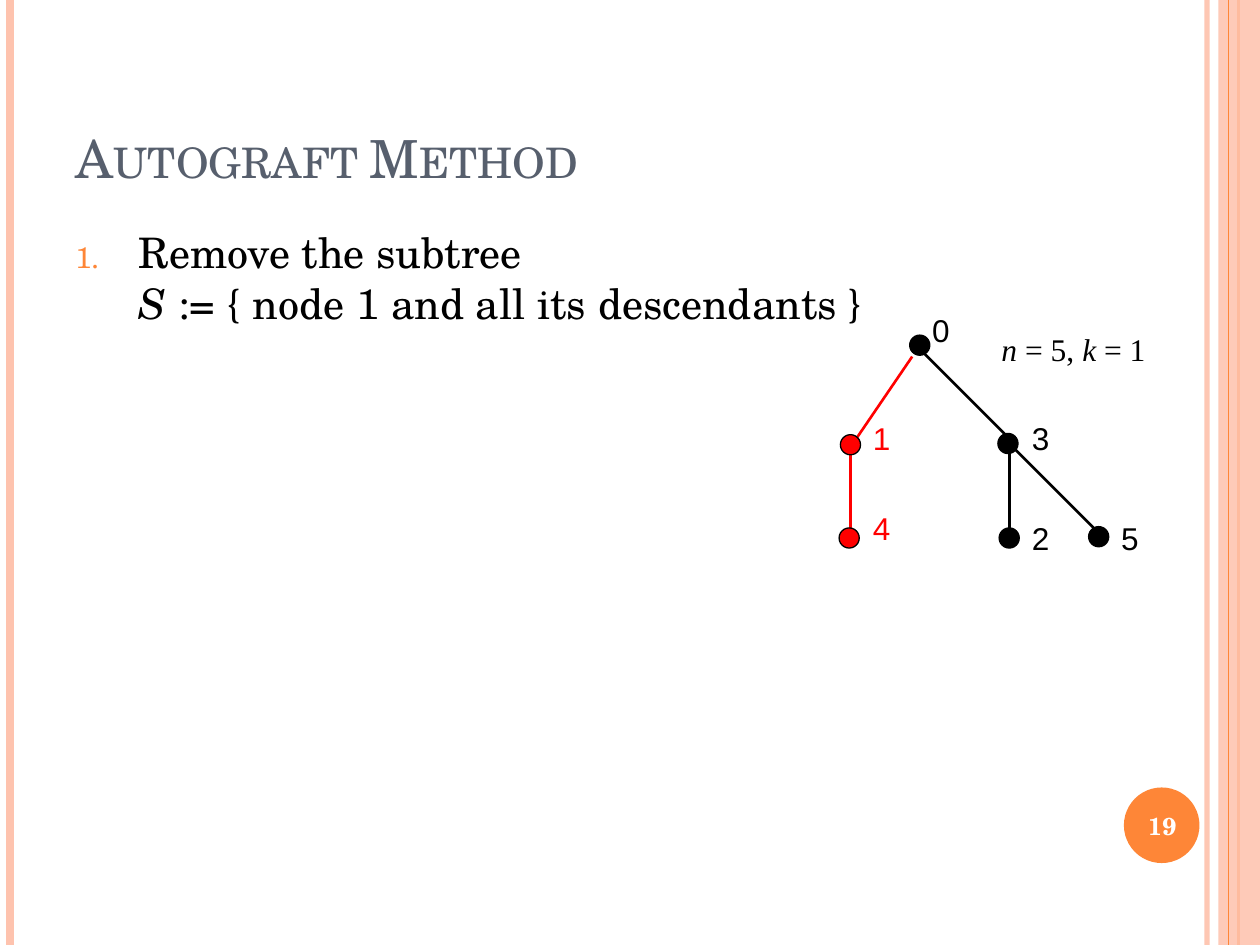
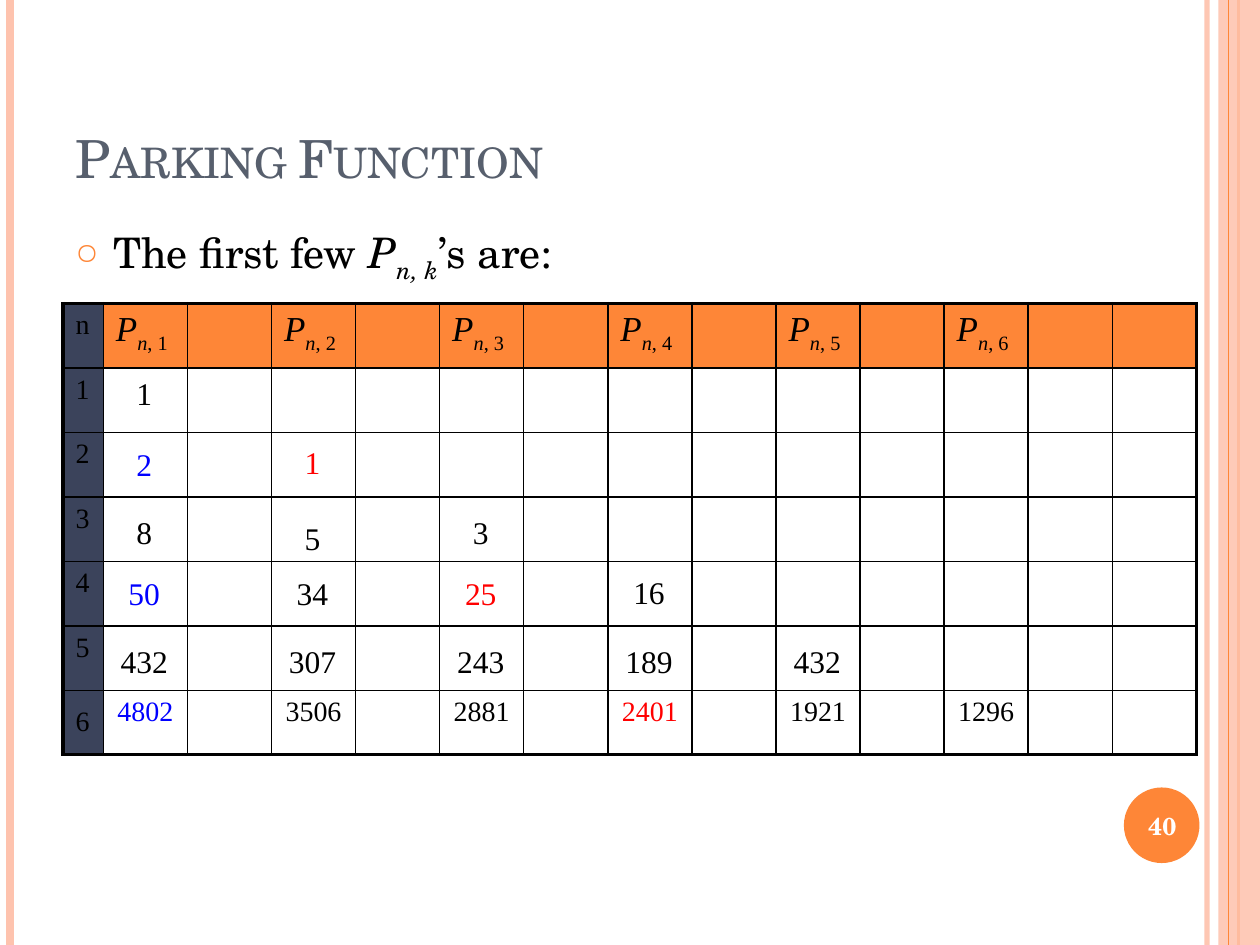
"""Build two slides on the autograft method and the parking function."""
from dataclasses import dataclass
from typing import Optional, Sequence

from lxml import etree
from pptx import Presentation
from pptx.dml.color import RGBColor
from pptx.enum.shapes import MSO_CONNECTOR, MSO_SHAPE
from pptx.enum.text import MSO_ANCHOR, MSO_AUTO_SIZE, PP_ALIGN
from pptx.oxml.ns import qn
from pptx.util import Inches, Pt

LINE = MSO_CONNECTOR.STRAIGHT
RECT, OVAL = MSO_SHAPE.RECTANGLE, MSO_SHAPE.OVAL
TOP, MIDDLE, BOTTOM = MSO_ANCHOR.TOP, MSO_ANCHOR.MIDDLE, MSO_ANCHOR.BOTTOM
LEFT, CENTER = PP_ALIGN.LEFT, PP_ALIGN.CENTER
NO_FIT = MSO_AUTO_SIZE.NONE
SERIF, SANS, MATH = "TeX Gyre Schola", "Arial", "Times New Roman"
COLORS = {
    "peach": "FEC3AE",
    "orange": "FE8637",
    "slate": "575F6D",
    "navy": "3B435B",
    "black": "000000",
    "white": "FFFFFF",
    "red": "FF0000",
    "blue": "0000FF",
}


@dataclass
class Run:
    text: str
    italic: bool = False
    sub: bool = False


@dataclass
class Style:
    font: str
    size: float
    color: str = "black"
    bold: bool = False
    align: int = LEFT
    anchor: int = TOP
    before: float = 0


@dataclass
class Edge:
    start: tuple
    end: tuple
    color: str = "black"
    width: float = 1.5
    alpha: Optional[int] = None


@dataclass
class Node:
    label: str
    left: float
    top: float
    label_left: float
    label_top: float
    color: str = "black"


@dataclass
class Value:
    column: int
    top: float
    text: str
    color: str = "black"


BANDS = [
    Edge((9.58, 0), (9.58, 7.5), "peach", 3, 93),
    Edge((0.08, 0), (0.08, 7.5), "peach", 4.5),
    Edge((9.83, 0), (9.83, 7.5), "orange", 1.5),
]
INNER_BAND = Edge((9.75, 0), (9.75, 7.5), "orange", 0.75)
EDGES = [
    Edge((8.05, 3.52), (7.3, 2.77)),
    Edge((7.24, 2.83), (6.77, 3.52), "red"),
    Edge((6.75, 3.58), (6.75, 4.31), "red"),
    Edge((8.01, 3.52), (8.01, 4.31)),
    Edge((8.01, 3.52), (8.72, 4.23)),
]
NODES = [
    Node("0", 7.22, 2.66, 7.3, 2.42),
    Node("1", 6.67, 3.45, 6.83, 3.28, "red"),
    Node("4", 6.66, 4.19, 6.83, 3.99, "red"),
    Node("3", 7.92, 3.44, 8.09, 3.28),
    Node("2", 7.93, 4.19, 8.09, 4.07),
    Node("5", 8.64, 4.18, 8.8, 4.07),
]
VALUES = [
    Value(1, 2.92, "1"),
    Value(1, 3.48, "2", "blue"),
    Value(2, 3.47, "1", "red"),
    Value(1, 4.02, "8"),
    Value(2, 4.07, "5"),
    Value(3, 4.02, "3"),
    Value(1, 4.51, "50", "blue"),
    Value(2, 4.51, "34"),
    Value(3, 4.51, "25", "red"),
    Value(4, 4.5, "16"),
    *(Value(k, 5.05, text) for k, text in
      enumerate(("432", "307", "243", "189", "432"), 1)),
]
LAST_ROW = [("4802", "blue"), ("3506", "black"), ("2881", "black"),
            ("2401", "red"), ("1921", "black"), ("1296", "black")]
ROWS, COLS = 7, 14
TABLE_WIDTH, TABLE_HEIGHT, INDEX_WIDTH = 9, 3.58, 0.32
COL_WIDTH = (TABLE_WIDTH - INDEX_WIDTH) / (COLS - 1)


def rgb(name: str) -> RGBColor:
    """Return a palette colour."""
    return RGBColor.from_string(COLORS[name])


def set_alpha(s, percent: int) -> None:
    """Make the first solid colour of a shape translucent."""
    color = s._element.spPr.find(".//" + qn("a:srgbClr"))
    etree.SubElement(color, qn("a:alpha")).set("val", str(percent * 1000))


def add_line(slide, edge: Edge) -> None:
    """Draw a straight line without a shadow."""
    s = slide.shapes.add_connector(LINE, *map(Inches, edge.start + edge.end))
    s.line.color.rgb = rgb(edge.color)
    s.line.width = Pt(edge.width)
    etree.SubElement(s._element.spPr, qn("a:effectLst"))
    if edge.alpha:
        set_alpha(s, edge.alpha)


def add_solid(slide, kind: int, box: Sequence[float], color: str,
              outline: Optional[str] = None):
    """Draw a filled preset shape."""
    s = slide.shapes.add_shape(kind, *map(Inches, box))
    s.shadow.inherit = False
    s.fill.solid()
    s.fill.fore_color.rgb = rgb(color)
    if outline:
        s.line.color.rgb = rgb(outline)
        s.line.width = Pt(0.75)
    else:
        s.line.fill.background()
    return s


def write(p, runs: Sequence[Run], style: Style) -> None:
    """Fill a paragraph with formatted runs."""
    p.alignment = style.align
    p.space_before = Pt(style.before)
    for part in runs:
        if part.text == "\n":
            p.add_line_break()
            continue
        r = p.add_run()
        r.text = part.text
        r.font.name = style.font
        r.font.size = Pt(style.size)
        r.font.color.rgb = rgb(style.color)
        r.font.bold = style.bold
        r.font.italic = part.italic
        if part.sub:
            r._r.get_or_add_rPr().set("baseline", "-25000")


def add_text(slide, box: Sequence[float], runs: Sequence[Run], style: Style):
    """Add a wrapped text box and return its paragraph."""
    tf = slide.shapes.add_textbox(*map(Inches, box)).text_frame
    tf.word_wrap = True
    tf.vertical_anchor = style.anchor
    p = tf.paragraphs[0]
    write(p, runs, style)
    return p


def add_body(slide, runs: Sequence[Run], indent: float, bullet: str,
             **mark: str) -> None:
    """Add the body text with an orange bullet or number."""
    p = add_text(slide, (0.5, 1.75, 8.17, 5.33), runs,
                 Style(SERIF, 24, before=6))
    ppr = p._p.get_or_add_pPr()
    ppr.set("marL", str(Inches(indent)))
    ppr.set("indent", str(-Inches(indent)))
    color = etree.SubElement(ppr, qn("a:buClr"))
    etree.SubElement(color, qn("a:srgbClr")).set("val", COLORS["orange"])
    etree.SubElement(ppr, qn("a:buSzPct")).set("val", "70000")
    etree.SubElement(ppr, qn(bullet), mark)


def add_base(prs, title: str, number: int):
    """Add a slide with its bands, title and page number."""
    slide = prs.slides.add_slide(prs.slide_layouts[5])
    for band in BANDS:
        add_line(slide, band)
    set_alpha(add_solid(slide, RECT, (9.67, 0, 0.33, 7.5), "peach"), 87)
    add_line(slide, INNER_BAND)
    add_solid(slide, OVAL, (8.92, 6.25, 0.6, 0.6), "orange")
    s = slide.shapes.title
    s.left, s.top, s.width, s.height = map(Inches, (0.5, 0.3, 8.17, 1.25))
    tf = s.text_frame
    tf.auto_size = NO_FIT
    tf.vertical_anchor = BOTTOM
    p = tf.paragraphs[0]
    write(p, [Run(title)], Style(SERIF, 30, "slate"))
    p.runs[0]._r.get_or_add_rPr().set("cap", "small")
    add_text(slide, (8.89, 6.27, 0.67, 0.57), [Run(str(number))],
             Style(SERIF, 14, "white", True, CENTER, MIDDLE))
    return slide


def add_tree(slide) -> None:
    """Draw the labelled tree."""
    for edge in EDGES:
        add_line(slide, edge)
    for node in NODES:
        add_solid(slide, OVAL, (node.left, node.top, 0.16, 0.16),
                  node.color, "black")
        add_text(slide, (node.label_left, node.label_top, 0.32, 0.4),
                 [Run(node.label)], Style(SANS, 18, node.color, before=2))
    runs = [Run("n", True), Run(" = 5, "), Run("k", True), Run(" = 1")]
    add_text(slide, (7.85, 2.57, 1.97, 0.4), runs, Style(MATH, 18, before=2))


def set_borders(cell, row: int, col: int) -> None:
    """Give a cell thin inner and thick outer borders."""
    outer = {"a:lnL": col == 0, "a:lnR": col == COLS - 1,
             "a:lnT": row == 0, "a:lnB": row == ROWS - 1}
    tcpr = cell._tc.get_or_add_tcPr()
    for i, (tag, thick) in enumerate(outer.items()):
        ln = etree.Element(qn(tag), w=str(Pt(2.25 if thick else 1)))
        fill = etree.SubElement(ln, qn("a:solidFill"))
        etree.SubElement(fill, qn("a:srgbClr")).set("val", COLORS["black"])
        tcpr.insert(i, ln)


def add_counts(slide) -> None:
    """Add the table of parking function values."""
    box = (0.5, 2.41, TABLE_WIDTH, TABLE_HEIGHT)
    table = slide.shapes.add_table(ROWS, COLS, *map(Inches, box)).table
    table.first_row = table.horz_banding = False
    for col, column in enumerate(table.columns):
        column.width = Inches(COL_WIDTH if col else INDEX_WIDTH)
    for row in range(ROWS):
        table.rows[row].height = Inches(TABLE_HEIGHT / ROWS)
        for col in range(COLS):
            cell = table.cell(row, col)
            if col and row:
                cell.fill.background()
            else:
                cell.fill.solid()
                cell.fill.fore_color.rgb = rgb("orange" if col else "navy")
            set_borders(cell, row, col)
        write(table.cell(row, 0).text_frame.paragraphs[0],
              [Run(str(row) if row else "n")], Style(MATH, 16))
    table.cell(ROWS - 1, 0).vertical_anchor = MIDDLE
    for k, (text, color) in enumerate(LAST_ROW, 1):
        head, last = (table.cell(row, 2 * k - 1).text_frame.paragraphs[0]
                      for row in (0, ROWS - 1))
        write(head, [Run("P", True), Run("n", True, True),
                     Run(f", {k}", sub=True)], Style(MATH, 20))
        write(last, [Run(text)], Style(MATH, 16, color, align=CENTER))
    for value in VALUES:
        left = 0.83 + 2 * COL_WIDTH * (value.column - 1)
        add_text(slide, (left, value.top, 0.63, 0.4), [Run(value.text)],
                 Style(MATH, 18, value.color, align=CENTER, before=2))


def main() -> None:
    """Build and save the presentation."""
    prs = Presentation()
    prs.slide_width, prs.slide_height = Inches(10), Inches(7.5)
    slide = add_base(prs, "Autograft Method", 19)
    add_body(slide, [Run("Remove the subtree"), Run("\n"), Run("S ", True),
                     Run(":= { node 1 and all its descendants }")],
             0.5, "a:buAutoNum", type="arabicPeriod")
    add_tree(slide)
    slide = add_base(prs, "Parking Function", 40)
    add_body(slide, [Run("The first few "), Run("P", True),
                     Run("n, k", True, True), Run("’s are:")],
             0.3, "a:buChar", char="○")
    add_counts(slide)
    prs.save("out.pptx")


main()
